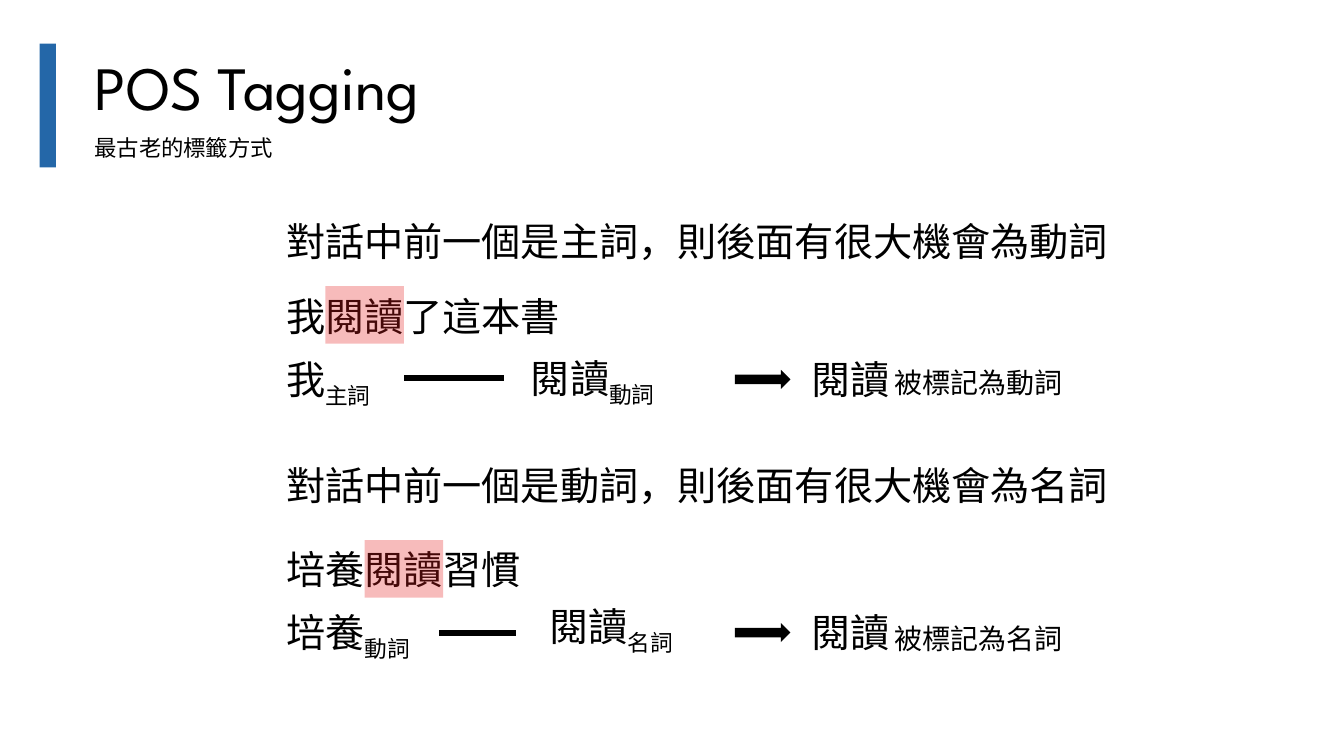
from dataclasses import dataclass

from lxml.etree import SubElement
from pptx import Presentation
from pptx.dml.color import RGBColor
from pptx.enum.shapes import MSO_CONNECTOR as Line, MSO_SHAPE as Shape
from pptx.enum.text import MSO_AUTO_SIZE as AutoSize
from pptx.oxml.ns import qn
from pptx.util import Cm, Pt

CJK = "Noto Sans CJK SC"
TITLE_FONT = "League Spartan"
BLACK, BLUE, RED = "000000", "2467A8", "E72121"

LEFT = 6.96
INSET = 0.25
CHARACTER = 0.99
HEIGHTS = {16: 0.94, 20: 1.12, 28: 1.45, 44: 2.13}


@dataclass
class Example:
    rule: str
    sentence: str
    sentence_width: float
    word_start: int
    previous: tuple
    previous_width: float
    tag: str
    line_ends: tuple
    word_left: float
    # Tops of the rule, sentence, tagging, word, result, arrow, line and highlight
    tops: tuple


EXAMPLES = [
    Example("對話中前一個是主詞，則後面有很大機會為動詞", "我閱讀了這本書", 7.49, 1,
            ("我", "主詞"), 2.84, "動詞", (10.19, 12.7), 13.13,
            (5.36, 7.24, 8.84, 8.81, 9.09, 9.32, 9.53, 7.21)),
    Example("對話中前一個是動詞，則後面有很大機會為名詞", "培養閱讀習慣", 6.5, 2,
            ("培養", "動詞"), 3.84, "名詞", (11.07, 13.0), 13.59,
            (11.51, 13.61, 15.21, 15.06, 15.54, 15.7, 15.95, 13.61)),
]


def color(hex_code):
    return RGBColor.from_string(hex_code)


def add_text(page, left, top, width, text, size=28, font=CJK, subscript=""):
    box = page.shapes.add_textbox(Cm(left), Cm(top), Cm(width), Cm(HEIGHTS[size]))
    frame = box.text_frame
    frame.word_wrap = False
    frame.auto_size = AutoSize.SHAPE_TO_FIT_TEXT
    para = frame.paragraphs[0]
    for content, baseline in ((text, None), (subscript, "-25000")):
        if not content:
            continue
        span = para.add_run()
        span.text = content
        for name, value in {"size": Pt(size), "name": font}.items():
            setattr(span.font, name, value)
        span.font.color.rgb = color(BLACK)
        properties = span._r.get_or_add_rPr()
        SubElement(properties, qn("a:ea"), typeface=font)
        if baseline:
            properties.set("baseline", baseline)


def add_block(page, kind, left, top, width, height, fill, opacity=100):
    """Add a borderless preset shape; opacity is in percent."""
    block = page.shapes.add_shape(kind, Cm(left), Cm(top), Cm(width), Cm(height))
    block.shadow.inherit = False
    block.fill.solid()
    block.fill.fore_color.rgb = color(fill)
    block.line.fill.background()
    if opacity < 100:
        fill_color = block._element.spPr.find(f"{qn('a:solidFill')}/{qn('a:srgbClr')}")
        SubElement(fill_color, qn("a:alpha"), val=str(opacity * 1000))


def add_line(page, start, end, top):
    line = page.shapes.add_connector(Line.STRAIGHT, Cm(start), Cm(top), Cm(end), Cm(top))
    line.line.color.rgb = color(BLACK)
    line.line.width = Pt(4.5)
    SubElement(line._element.spPr, qn("a:effectLst"))


def add_heading(page):
    add_block(page, Shape.RECTANGLE, 1, 1.1, 0.41, 3.12, BLUE)
    add_text(page, 2.13, 1.1, 10.31, "POS Tagging", 44, TITLE_FONT)
    add_text(page, 2.13, 3.25, 5.08, "最古老的標籤方式", 16)


def add_example(page, example):
    rule, sentence, tagging, word, result, arrow, line, highlight = example.tops
    previous, previous_tag = example.previous
    add_text(page, LEFT, rule, 21.46, example.rule)
    add_text(page, LEFT, sentence, example.sentence_width, example.sentence)
    add_text(page, LEFT, tagging, example.previous_width, previous, subscript=previous_tag)
    add_block(page, Shape.RIGHT_ARROW, 18.52, arrow, 1.4, 0.48, BLACK)
    add_text(page, 20.19, tagging, 2.51, "閱讀")
    add_text(page, 22.3, result, 4.78, f"被標記為{example.tag}", 20)
    add_line(page, *example.line_ends, line)
    add_block(page, Shape.RECTANGLE, LEFT + INSET + example.word_start * CHARACTER,
              highlight, 2 * CHARACTER, 1.45, RED, 30)
    add_text(page, example.word_left, word, 3.84, "閱讀", subscript=example.tag)


def main():
    deck = Presentation()
    deck.slide_width, deck.slide_height = Cm(33.87), Cm(19.05)
    page = deck.slides.add_slide(deck.slide_layouts[6])
    add_heading(page)
    for example in EXAMPLES:
        add_example(page, example)
    deck.save("out.pptx")


if __name__ == "__main__":
    main()
